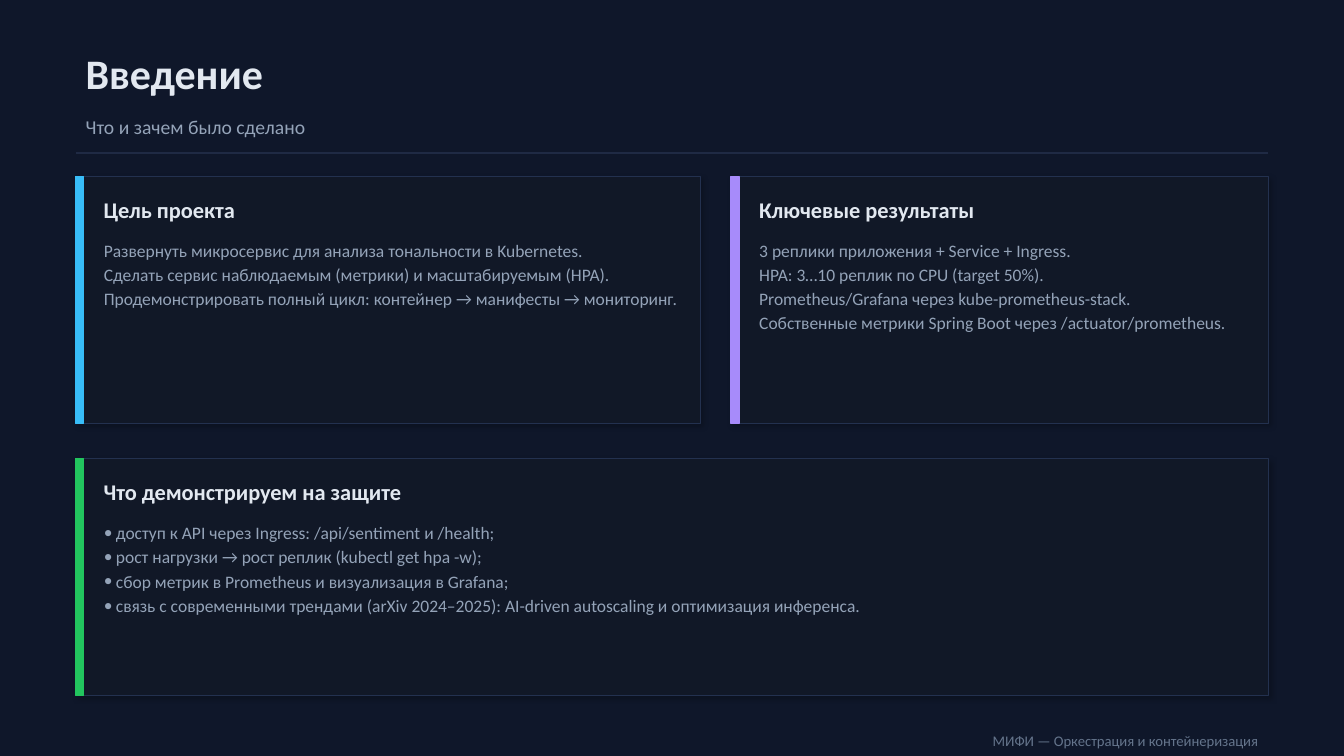
import lxml.etree
import pptx
import pptx.dml.color
import pptx.enum.shapes
import pptx.enum.text
import pptx.oxml
import pptx.oxml.ns
import pptx.util

PX = 9144  # 100 px to the inch
FONT = "Calibri"
COLORS = {
    "background": "0F172A", "card": "111827", "card_edge": "23314F", "rule": "1F2A44",
    "title": "E2E8F0", "body": "94A3B8", "footer": "64748B",
    "blue": "38BDF8", "violet": "A78BFA", "green": "22C55E",
}
ALIGN = pptx.enum.text.PP_ALIGN
ANCHOR = pptx.enum.text.MSO_ANCHOR
LEFT, WIDTH = 75, 1183
BULLET_INDENT = 12


def rgb(name):
    return pptx.dml.color.RGBColor.from_string(COLORS[name])


def px(*lengths):
    return [length * PX for length in lengths]


class SlideBuilder:
    def __init__(self, deck, layout):
        self.page = deck.slides.add_slide(deck.slide_layouts[layout])
        self.page.background.fill.solid()
        self.page.background.fill.fore_color.rgb = rgb("background")

    def placeholder(self, index, area):
        """Move a template placeholder into its area and to the front."""
        box = next(p for p in self.page.placeholders if p.placeholder_format.idx == index)
        box.left, box.top, box.width, box.height = px(*area)
        tree = box.element.getparent()
        tree.append(box.element)
        return box

    def text_box(self, area):
        return self.page.shapes.add_textbox(*px(*area))

    def fill_text(self, box, lines, size, color, bold=False, align=ALIGN.LEFT,
                  anchor=ANCHOR.MIDDLE, spacing=1.0, bullet=False):
        frame = box.text_frame
        frame.word_wrap = True
        frame.auto_size = pptx.enum.text.MSO_AUTO_SIZE.NONE
        frame.vertical_anchor = anchor
        frame.margin_left, frame.margin_right, frame.margin_top, frame.margin_bottom = px(10, 10, 5, 5)
        for number, line in enumerate(lines):
            para = frame.add_paragraph() if number else frame.paragraphs[0]
            self.mark(para, bullet)
            para.alignment = align
            para.line_spacing = spacing
            para.space_before = para.space_after = pptx.util.Pt(0)
            span = para.add_run()
            span.text = line
            span.font.name = FONT
            span.font.size = pptx.util.Pt(size)
            span.font.bold = bold
            span.font.color.rgb = rgb(color)

    def mark(self, para, bullet):
        """Give the paragraph a bullet, or take away the inherited one."""
        properties = para._p.get_or_add_pPr()
        indent = BULLET_INDENT * PX if bullet else 0
        properties.set("marL", str(indent))
        properties.set("indent", str(-indent))
        qn = pptx.oxml.ns.qn
        if bullet:
            lxml.etree.SubElement(properties, qn("a:buFont"), typeface=FONT)
            lxml.etree.SubElement(properties, qn("a:buChar"), char="•")
        else:
            lxml.etree.SubElement(properties, qn("a:buNone"))

    def rectangle(self, area, fill, edge, shadow=False):
        kind = pptx.enum.shapes.MSO_SHAPE.RECTANGLE
        shape = self.page.shapes.add_shape(kind, *px(*area))
        shape.fill.solid()
        shape.fill.fore_color.rgb = rgb(fill)
        shape.line.color.rgb = rgb(edge)
        shape.line.width = pptx.util.Pt(1)
        shape.shadow.inherit = False
        if shadow:
            effects = shape.element.spPr.find(pptx.oxml.ns.qn("a:effectLst"))
            effects.append(pptx.oxml.parse_xml(
                f'<a:outerShdw {pptx.oxml.ns.nsdecls("a")} blurRad="50800" dist="25400" '
                'dir="2700000" algn="bl" rotWithShape="0">'
                '<a:srgbClr val="000000"><a:alpha val="22000"/></a:srgbClr></a:outerShdw>'))

    def rule(self, left, top, width):
        kind = pptx.enum.shapes.MSO_CONNECTOR.STRAIGHT
        line = self.page.shapes.add_connector(kind, *px(left, top, left + width, top))
        line.line.color.rgb = rgb("rule")
        line.line.width = pptx.util.Pt(1)
        lxml.etree.SubElement(line.element.spPr, pptx.oxml.ns.qn("a:effectLst"))

    def card(self, area, accent, heading, index, lines, bullet=False):
        left, top, width, height = area
        self.rectangle(area, "card", "card_edge", shadow=True)
        self.rectangle((left, top, 8, height), accent, accent)
        inner_left, inner_width = left + 18, width - 30
        self.fill_text(self.text_box((inner_left, top + 15, inner_width, 35)),
                       [heading], 16, "title", bold=True)
        body = self.placeholder(index, (inner_left, top + 55, inner_width, height - 70))
        self.fill_text(body, lines, 12.5, "body", anchor=ANCHOR.TOP, spacing=1.15, bullet=bullet)


def main():
    deck = pptx.Presentation()
    deck.slide_width, deck.slide_height = px(1333, 750)
    slide = SlideBuilder(deck, layout=4)

    # Header
    slide.fill_text(slide.placeholder(0, (LEFT, 45, WIDTH, 55)),
                    ["Введение"], 30, "title", bold=True)
    slide.fill_text(slide.placeholder(1, (LEFT, 108, WIDTH, 35)),
                    ["Что и зачем было сделано"], 14, "body")
    slide.rule(LEFT, 152, WIDTH)

    # Cards
    slide.card((LEFT, 175, 620, 245), "blue", "Цель проекта", 2, [
        "Развернуть микросервис для анализа тональности в Kubernetes.",
        "Сделать сервис наблюдаемым (метрики) и масштабируемым (HPA).",
        "Продемонстрировать полный цикл: контейнер → манифесты → мониторинг.",
    ])
    slide.card((725, 175, 533, 245), "violet", "Ключевые результаты", 4, [
        "3 реплики приложения + Service + Ingress.",
        "HPA: 3…10 реплик по CPU (target 50%).",
        "Prometheus/Grafana через kube-prometheus-stack.",
        "Собственные метрики Spring Boot через /actuator/prometheus.",
    ])
    slide.card((LEFT, 455, WIDTH, 235), "green", "Что демонстрируем на защите", 3, [
        "доступ к API через Ingress: /api/sentiment и /health;",
        "рост нагрузки → рост реплик (kubectl get hpa -w);",
        "сбор метрик в Prometheus и визуализация в Grafana;",
        "связь с современными трендами (arXiv 2024–2025): "
        "AI-driven autoscaling и оптимизация инференса.",
    ], bullet=True)

    # Footer
    slide.fill_text(slide.text_box((LEFT, 722, WIDTH, 25)),
                    ["МИФИ — Оркестрация и контейнеризация"], 10.5, "footer", align=ALIGN.RIGHT)

    deck.save("out.pptx")


if __name__ == "__main__":
    main()
